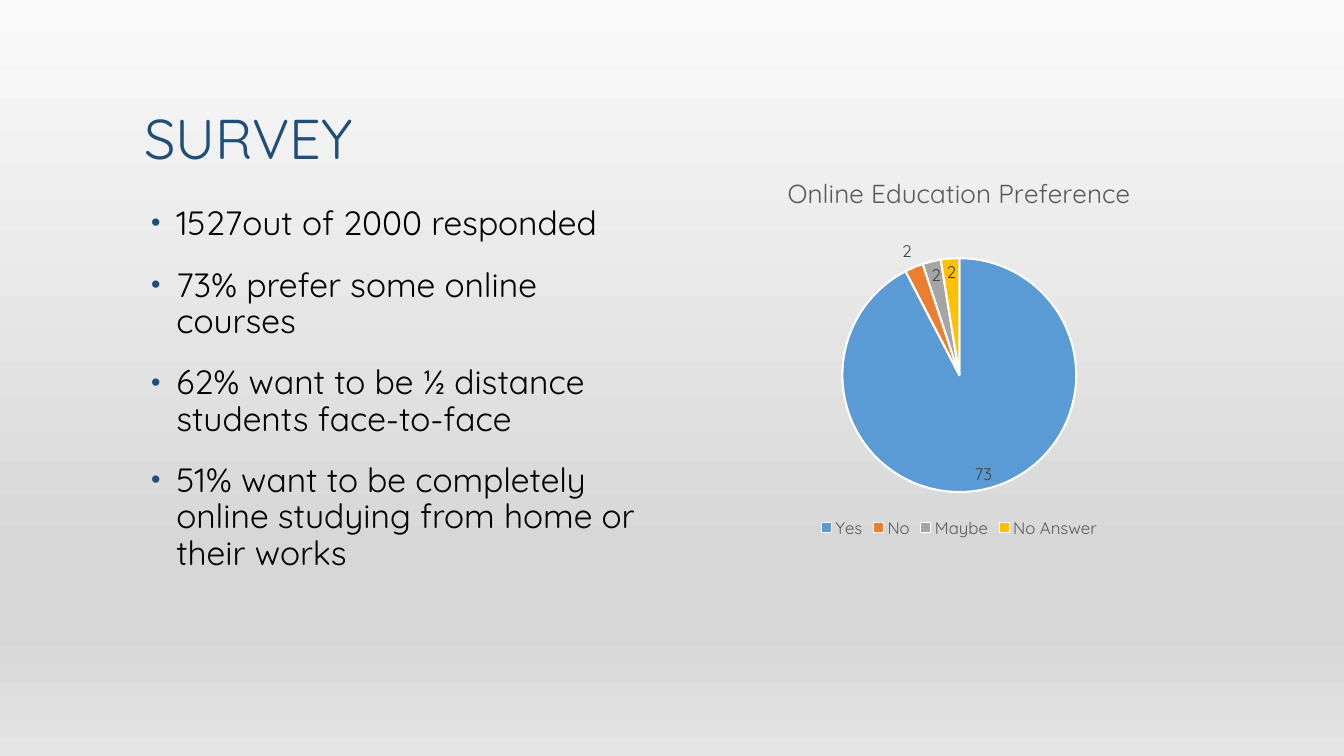
from lxml.etree import SubElement
from pptx import Presentation
from pptx.chart.data import CategoryChartData
from pptx.dml.color import RGBColor
from pptx.enum.chart import XL_CHART_TYPE, XL_LABEL_POSITION, XL_LEGEND_POSITION
from pptx.enum.shapes import MSO_SHAPE
from pptx.enum.text import MSO_ANCHOR, MSO_AUTO_SIZE, PP_ALIGN
from pptx.oxml.ns import qn
from pptx.util import Pt

PX = 9144
FONT = "Quicksand"
NAVY = RGBColor(0x1F, 0x4E, 0x79)
BLACK = RGBColor(0, 0, 0)
WHITE = RGBColor(255, 255, 255)
GRAY = RGBColor(0x59, 0x59, 0x59)
LABEL_GRAY = RGBColor(0x40, 0x40, 0x40)
BACKDROP_STOPS = {
    0: RGBColor(0xFA, 0xFA, 0xFA),
    74: RGBColor(0xD7, 0xD7, 0xD7),
    83: RGBColor(0xD7, 0xD7, 0xD7),
    100: RGBColor(0xE4, 0xE4, 0xE4),
}
ANSWERS = {
    "Yes": (73, RGBColor(0x5B, 0x9B, 0xD5)),
    "No": (2, RGBColor(0xED, 0x7D, 0x31)),
    "Maybe": (2, RGBColor(0xA5, 0xA5, 0xA5)),
    "No Answer": (2, RGBColor(0xFF, 0xC0, 0x00)),
}
FINDINGS = [
    "1527out of 2000 responded",
    "73% prefer some online courses",
    "62% want to be ½ distance students face-to-face",
    "51% want to be completely online studying from home or their works",
]


def px(*lengths):
    """Turn pixel lengths into EMU."""
    return [n * PX for n in lengths]


def apply(target, values):
    """Set each named attribute on the target."""
    for name, value in values.items():
        setattr(target, name, value)


def style(font, size, color):
    """Give a font the slide's typeface, a size and a colour."""
    apply(font, {"name": FONT, "size": Pt(size), "bold": False})
    font.color.rgb = color


def add_backdrop(s, box):
    """Fill the box with a vertical gray gradient behind everything else."""
    sp = s.shapes.add_shape(MSO_SHAPE.RECTANGLE, *px(*box))
    sp.shadow.inherit = False
    sp.line.fill.background()
    sp.fill.gradient()
    sp.fill.gradient_angle = 270
    stops = sp._element.spPr.find(".//" + qn("a:gsLst"))
    stops.clear()
    for percent, color in BACKDROP_STOPS.items():
        stop = SubElement(stops, qn("a:gs"), pos=str(percent * 1000))
        SubElement(stop, qn("a:srgbClr"), val=str(color))
    s.shapes._spTree.insert(2, sp._element)


def add_title(s, box, text):
    """Place the title placeholder with its text at the bottom left."""
    sp = s.shapes.title
    apply(sp, dict(zip(("left", "top", "width", "height"), px(*box))))
    tf = sp.text_frame
    tf.text = text
    apply(tf, {"vertical_anchor": MSO_ANCHOR.BOTTOM, "word_wrap": True,
               "auto_size": MSO_AUTO_SIZE.NONE})
    p = tf.paragraphs[0]
    apply(p, {"alignment": PP_ALIGN.LEFT, "line_spacing": 0.9})
    style(p.runs[0].font, 40, NAVY)


def add_bullet(p):
    """Give a paragraph a hanging navy bullet."""
    pPr = p._p.get_or_add_pPr()
    indent, hang = px(30, -25)
    pPr.set("marL", str(indent))
    pPr.set("indent", str(hang))
    SubElement(SubElement(pPr, qn("a:buClr")), qn("a:srgbClr"), val=str(NAVY))
    SubElement(pPr, qn("a:buSzPct"), val="80000")
    SubElement(pPr, qn("a:buFont"), typeface="Arial")
    SubElement(pPr, qn("a:buChar"), char="•")


def add_findings(s, box, findings):
    """List the survey findings as bullets in the box."""
    tf = s.shapes.add_textbox(*px(*box)).text_frame
    tf.word_wrap = True
    tf.text = "\n".join(findings)
    for p in tf.paragraphs:
        apply(p, {"line_spacing": 0.9, "space_before": Pt(18)})
        add_bullet(p)
        style(p.runs[0].font, 24, BLACK)


def add_preference_chart(s, box, title):
    """Draw the pie of answers with title, labels and legend in the box."""
    data = CategoryChartData()
    data.categories = list(ANSWERS)
    data.add_series(title, [value for value, _ in ANSWERS.values()])
    chart = s.shapes.add_chart(XL_CHART_TYPE.PIE, *px(*box), data).chart
    style(chart.font, 10, BLACK)

    chart.has_title = True
    tf = chart.chart_title.text_frame
    tf.text = title
    style(tf.paragraphs[0].runs[0].font, 18.6, GRAY)
    chart.chart_title.include_in_layout = False

    chart.has_legend = True
    apply(chart.legend, {"position": XL_LEGEND_POSITION.BOTTOM,
                         "include_in_layout": False})
    style(chart.legend.font, 12, GRAY)

    plot = chart.plots[0]
    apply(plot, {"vary_by_categories": True, "has_data_labels": True})
    apply(plot.data_labels, {"show_value": True, "show_percentage": False,
                             "position": XL_LABEL_POSITION.BEST_FIT})
    style(plot.data_labels.font, 12, LABEL_GRAY)
    for i, (_, color) in enumerate(ANSWERS.values()):
        part = plot.series[0].points[i].format
        part.fill.solid()
        part.fill.fore_color.rgb = color
        part.line.color.rgb = WHITE
        part.line.width = Pt(1.5)


def main():
    """Build the survey slide and save it."""
    prs = Presentation()
    apply(prs, dict(zip(("slide_width", "slide_height"), px(1333, 750))))
    s = prs.slides.add_slide(prs.slide_layouts[5])
    add_backdrop(s, (0, 0, 1333, 750))
    add_title(s, (133, 30, 1067, 145), "SURVEY")
    add_findings(s, (135, 200, 515, 475), FINDINGS)
    add_preference_chart(s, (611, 155, 681, 383), "Online Education Preference")
    prs.save("out.pptx")


if __name__ == "__main__":
    main()
